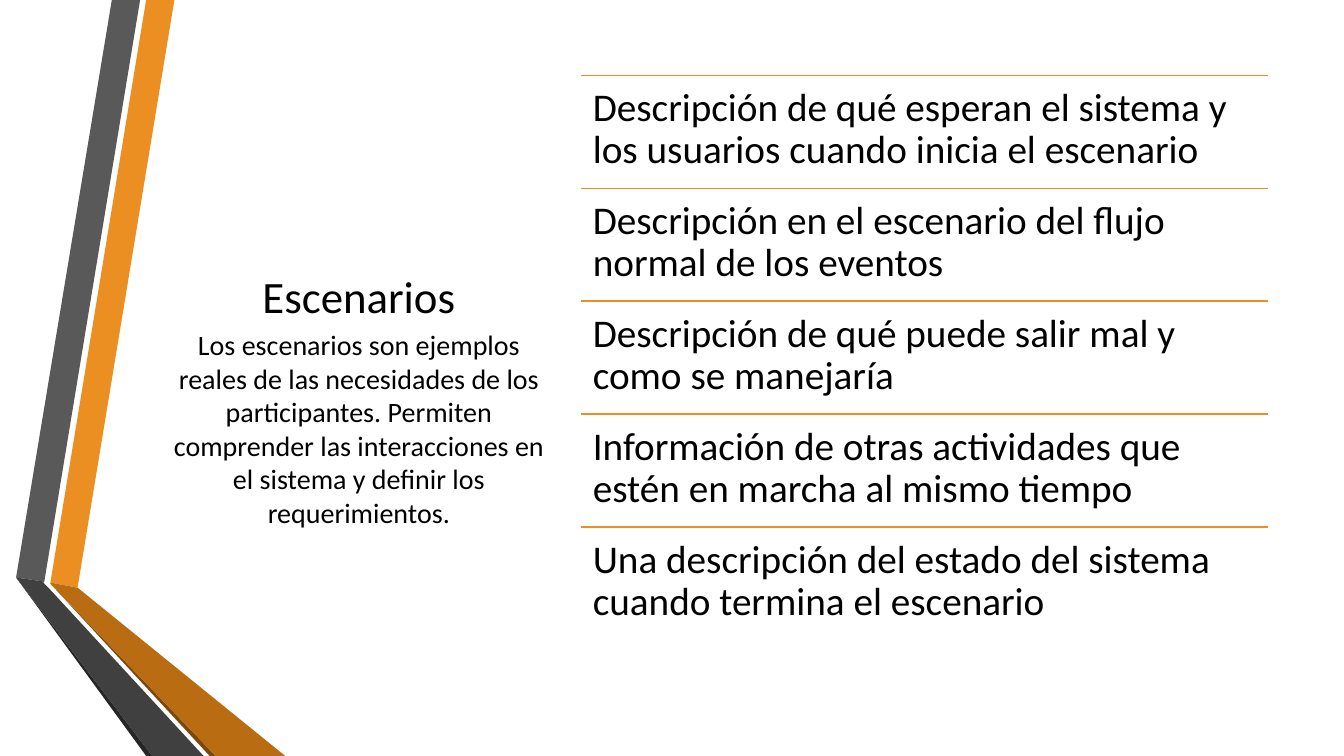
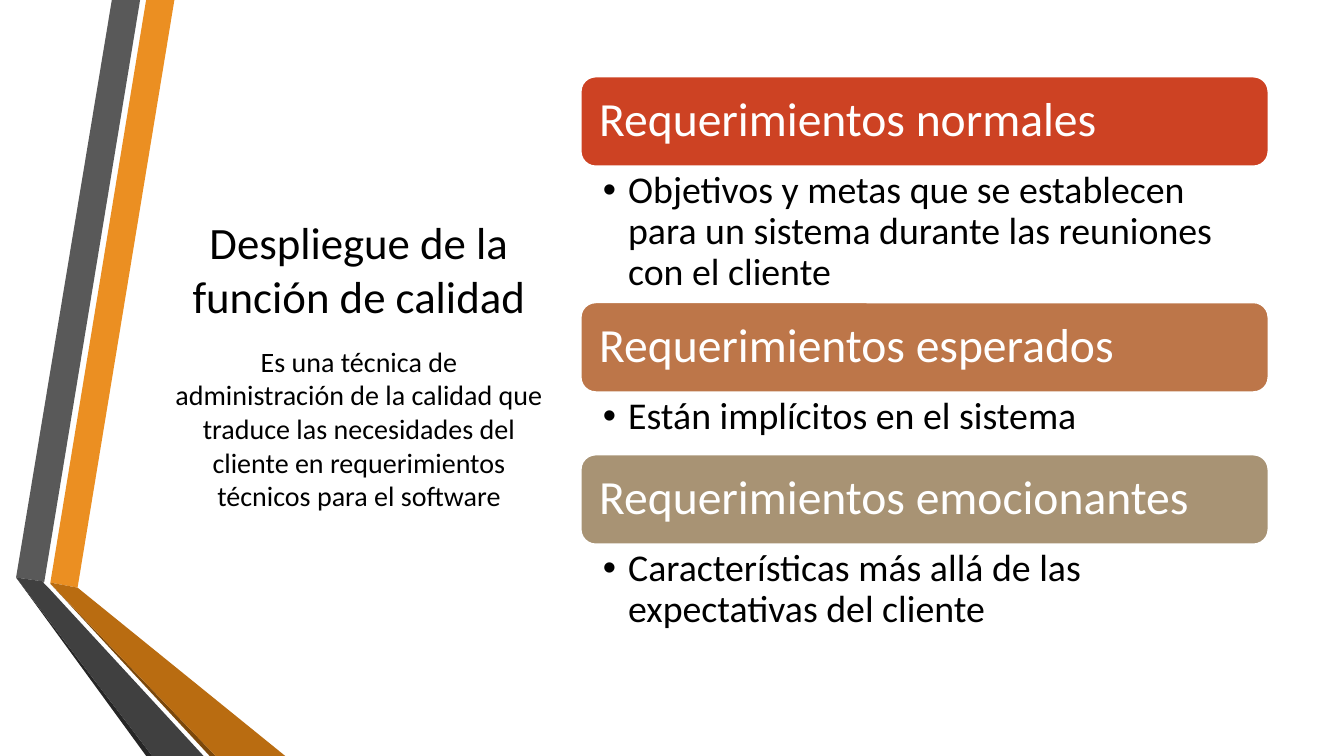
from lxml import etree
from pptx import Presentation
from pptx.dml.color import RGBColor
from pptx.enum.shapes import MSO_CONNECTOR, MSO_SHAPE
from pptx.enum.text import MSO_ANCHOR, PP_ALIGN
from pptx.oxml.ns import qn
from pptx.util import Inches, Pt

# Shared style
FONT = "Calibri"
BLACK = RGBColor(0x00, 0x00, 0x00)
WHITE = RGBColor(0xFF, 0xFF, 0xFF)
ORANGE = RGBColor(0xEB, 0x8F, 0x22)
DARK_ORANGE = RGBColor(0xB9, 0x6C, 0x11)
BROWN = RGBColor(0x7B, 0x48, 0x0B)
GRAY = RGBColor(0x59, 0x59, 0x59)
DARK_GRAY = RGBColor(0x40, 0x40, 0x40)
CHARCOAL = RGBColor(0x26, 0x26, 0x26)
RED = RGBColor(0xCD, 0x42, 0x23)
COPPER = RGBColor(0xBD, 0x76, 0x49)
SAND = RGBColor(0xA8, 0x93, 0x74)

# Right-hand column
COLUMN_LEFT, COLUMN_WIDTH = 5.76, 6.82

# Folded ribbons at the left edge, back to front
RIBBONS = [
    (ORANGE, [(0.5, 5.78), (0.77, 5.83), (1.73, 0), (1.45, 0)]),
    (GRAY, [(1.39, 0), (1.11, 0), (0.16, 5.73), (0.44, 5.77)]),
    (CHARCOAL, [(0.16, 5.73), (1.45, 7.5), (1.51, 7.5)]),
    (BROWN, [(0.5, 5.79), (2.08, 7.5), (2.14, 7.5)]),
    (DARK_ORANGE, [(0.5, 5.78), (0.5, 5.79), (2.14, 7.5), (2.83, 7.5), (0.77, 5.83)]),
    (DARK_GRAY, [(2.02, 7.5), (0.48, 5.83), (0.43, 5.78), (0.44, 5.77),
                 (0.16, 5.73), (1.51, 7.5)]),
]

SCENARIO_PARTS = [
    "Descripción de qué esperan el sistema y los usuarios cuando inicia el escenario",
    "Descripción en el escenario del flujo normal de los eventos",
    "Descripción de qué puede salir mal y como se manejaría",
    "Información de otras actividades que estén en marcha al mismo tiempo",
    "Una descripción del estado del sistema cuando termina el escenario",
]

# Heading, colour, detail, height of the detail
REQUIREMENTS = [
    ("Requerimientos normales", RED,
     "Objetivos y metas que se establecen para un sistema durante las reuniones con el cliente",
     1.35),
    ("Requerimientos esperados", COPPER, "Están implícitos en el sistema", 0.62),
    ("Requerimientos emocionantes", SAND,
     "Características más allá de las expectativas del cliente", 0.92),
]


def write_text(shape, text, size, color=BLACK, align=PP_ALIGN.LEFT,
               anchor=MSO_ANCHOR.TOP, margins=(0.1, 0.05, 0.1, 0.05), line_spacing=1.0):
    frame = shape.text_frame
    frame.word_wrap = True
    frame.vertical_anchor = anchor
    (frame.margin_left, frame.margin_top,
     frame.margin_right, frame.margin_bottom) = map(Inches, margins)
    paragraph = frame.paragraphs[0]
    paragraph.alignment = align
    paragraph.line_spacing = line_spacing
    run = paragraph.add_run()
    run.text = text
    run.font.name = FONT
    run.font.size = Pt(size)
    run.font.color.rgb = color
    return paragraph


def add_text(slide, left, top, width, height, text, size, **style):
    box = slide.shapes.add_textbox(*map(Inches, (left, top, width, height)))
    return write_text(box, text, size, **style)


def add_bullet(paragraph, indent):
    properties = paragraph._p.get_or_add_pPr()
    properties.set("marL", str(Inches(indent)))
    properties.set("indent", str(-Inches(indent)))
    etree.SubElement(properties, qn("a:buFont"), typeface="Arial")
    etree.SubElement(properties, qn("a:buChar"), char="•")


def add_ribbon(slide, color, points):
    corners = [(Inches(x), Inches(y)) for x, y in points]
    builder = slide.shapes.build_freeform(*corners[0])
    builder.add_line_segments(corners[1:], close=True)
    ribbon = builder.convert_to_shape()
    ribbon.shadow.inherit = False
    ribbon.fill.solid()
    ribbon.fill.fore_color.rgb = color
    ribbon.line.fill.background()


def add_rule(slide, top):
    rule = slide.shapes.add_connector(
        MSO_CONNECTOR.STRAIGHT, Inches(COLUMN_LEFT), Inches(top),
        Inches(COLUMN_LEFT + COLUMN_WIDTH), Inches(top))
    rule.line.color.rgb = ORANGE
    rule.line.width = Pt(1.25)
    etree.SubElement(rule._element.spPr, qn("a:effectLst"))


def add_banner(slide, top, height, text, color):
    banner = slide.shapes.add_shape(
        MSO_SHAPE.ROUNDED_RECTANGLE,
        *map(Inches, (COLUMN_LEFT, top, COLUMN_WIDTH, height)))
    banner.shadow.inherit = False
    banner.fill.solid()
    banner.fill.fore_color.rgb = color
    banner.line.color.rgb = WHITE
    banner.line.width = Pt(1.25)
    write_text(banner, text, 34, color=WHITE, anchor=MSO_ANCHOR.MIDDLE,
               margins=(0.14, 0.1, 0.14, 0.1), line_spacing=0.9)


def add_topic_slide(presentation, title, summary):
    """Add a slide with the ribbons, the title and the summary below it."""
    slide = presentation.slides.add_slide(presentation.slide_layouts[6])
    for color, points in RIBBONS:
        add_ribbon(slide, color, points)
    add_text(slide, 1.62, 1.75, 3.88, 1.5, title, 32,
             align=PP_ALIGN.CENTER, anchor=MSO_ANCHOR.BOTTOM)
    paragraph = add_text(slide, 1.62, 3.25, 3.88, 2, summary, 20,
                         align=PP_ALIGN.CENTER, anchor=MSO_ANCHOR.MIDDLE)
    paragraph.space_before = Pt(4)
    paragraph.space_after = Pt(6)
    return slide


def add_ruled_list(slide, items, top, row_height):
    for index, item in enumerate(items):
        row_top = top + index * row_height
        add_rule(slide, row_top)
        add_text(slide, COLUMN_LEFT, row_top, COLUMN_WIDTH, row_height, item, 28,
                 margins=(0.12,) * 4, line_spacing=0.9)


def add_banner_list(slide, sections, top, banner_height):
    for heading, color, detail, detail_height in sections:
        add_banner(slide, top, banner_height, heading, color)
        top += banner_height
        paragraph = add_text(slide, COLUMN_LEFT, top, COLUMN_WIDTH, detail_height,
                             detail, 27, margins=(0.22, 0.05, 0.26, 0.05),
                             line_spacing=0.9)
        add_bullet(paragraph, 0.25)
        top += detail_height


def main():
    presentation = Presentation()
    presentation.slide_width = Inches(13.33)
    presentation.slide_height = Inches(7.5)

    # Scenarios
    slide = add_topic_slide(
        presentation, "Escenarios",
        "Los escenarios son ejemplos reales de las necesidades de los participantes. "
        "Permiten comprender las interacciones en el sistema y definir los requerimientos.")
    add_ruled_list(slide, SCENARIO_PARTS, top=0.75, row_height=1.12)

    # Quality function deployment
    slide = add_topic_slide(
        presentation, "Despliegue de la función de calidad",
        "Es una técnica de administración de la calidad que traduce las necesidades "
        "del cliente en requerimientos técnicos para el software")
    add_banner_list(slide, REQUIREMENTS, top=0.76, banner_height=0.89)

    presentation.save("out.pptx")


if __name__ == "__main__":
    main()
